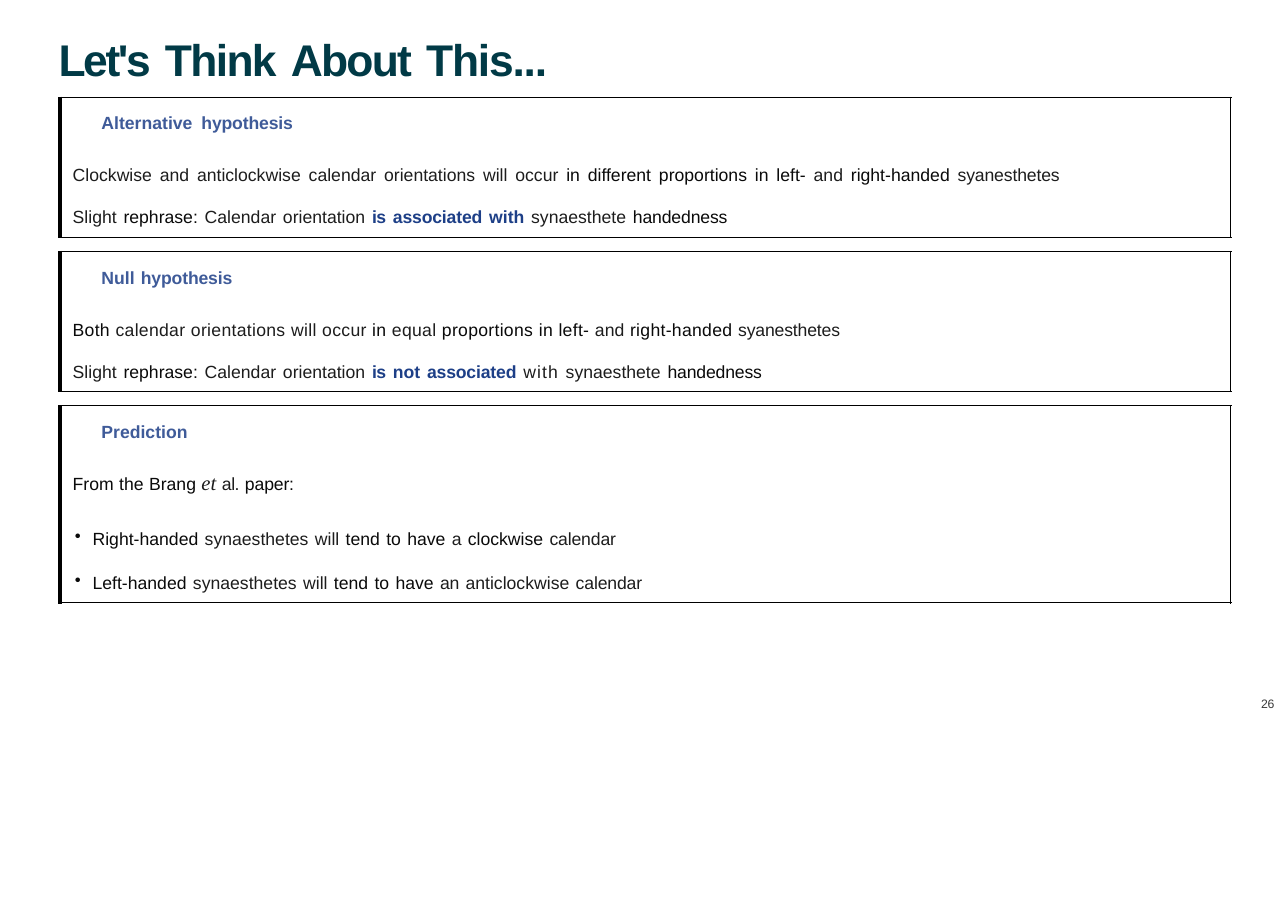
from lxml.etree import SubElement
from pptx import Presentation
from pptx.dml.color import RGBColor
from pptx.enum.shapes import MSO_CONNECTOR
from pptx.oxml.ns import qn
from pptx.util import Pt

# Styles: font, size, colour, bold, italic
STYLES = {
    "title": ("Arial", 29, "013A46", True, False),
    "heading": ("Arial", 11.5, "3F5B99", True, False),
    "grey": ("Arial", 11.5, "1D1D1D", False, False),
    "black": ("Arial", 11.5, "0A0A0A", False, False),
    "strong": ("Arial", 11.5, "1D3F87", True, False),
    "latin": ("Times New Roman", 13.5, "1D1D1D", False, True),
    "number": ("Arial", 8, "3A3A3A", False, False),
}

# Line kinds: left margin, first-line indent, bullet
KINDS = {"plain": (0.7, 0, ""), "heading": (26, 0, ""),
         "body": (7.2, 0, ""), "bullet": (20.2, -11.5, "•")}

# A line: kind, pitch from the line above, extra word gap, spans (text, style, tracking)
TITLE = [("plain", None, 1.2, [
    ("Let's ", "title", -1.6), ("Think ", "title", -1.1),
    ("About ", "title", -1.2), ("This...", "title", -0.8)])]
PAGE_NUMBER = [("plain", None, 0, [("26", "number", -0.2)])]

ALTERNATIVE = [
    ("heading", None, 2.6, [("Alternative ", "heading", 0), ("hypothesis", "heading", -0.1)]),
    ("body", 34, 1.9, [
        ("Clockwise and anticlockwise calendar orientations will occur ", "grey", 0),
        ("in different proportions in left- ", "black", 0), ("and ", "grey", 0),
        ("right-handed ", "black", 0), ("syanesthetes", "grey", -0.1)]),
    ("body", 27.4, 1.2, [
        ("Slight ", "grey", 0), ("rephrase: ", "black", 0), ("Calendar orientation ", "grey", 0),
        ("is ", "strong", -0.4), ("associated ", "strong", -0.1), ("with ", "strong", 0),
        ("synaesthete ", "grey", 0), ("handedness", "black", -0.1)]),
]
NULL = [
    ("heading", None, 0.8, [("Null ", "heading", 0), ("hypothesis", "heading", -0.1)]),
    ("body", 34, 0.3, [
        ("Both ", "black", 0.2), ("calendar orientations will occur ", "grey", 0.2),
        ("in ", "black", 0.2), ("equal ", "grey", 0.2), ("proportions in left- ", "black", 0.2),
        ("and ", "grey", 0.1), ("right-handed ", "black", 0.2), ("syanesthetes", "grey", -0.1)]),
    ("body", 27.4, 1.2, [
        ("Slight ", "grey", 0), ("rephrase: ", "black", 0), ("Calendar orientation ", "grey", 0),
        ("is ", "strong", -0.4), ("not ", "strong", 0), ("associated ", "strong", -0.1),
        ("with ", "grey", 0.7), ("synaesthete ", "grey", 0), ("handedness", "black", -0.1)]),
]
PREDICTION = [
    ("heading", None, 0, [("Prediction", "heading", 0)]),
    ("body", 34.6, 0.3, [
        ("From the Brang ", "black", 0), ("et ", "latin", 0),
        ("al. ", "grey", -0.3), ("paper:", "black", -0.1)]),
    ("bullet", 35.3, 0.9, [
        ("Right-handed ", "black", 0), ("synaesthetes will ", "grey", 0),
        ("tend to have ", "black", 0), ("a ", "grey", -1.1),
        ("clockwise ", "black", 0), ("calendar", "grey", -0.1)]),
    ("bullet", 28.7, 0.9, [
        ("Left-handed ", "black", 0), ("synaesthetes will ", "grey", 0),
        ("tend to have ", "black", 0), ("an ", "grey", -0.2),
        ("anticlockwise ", "grey", 0), ("calendar", "grey", -0.1)]),
]

# Panels: height and lines
PANELS = [(91.5, ALTERNATIVE), (91.5, NULL), (128.8, PREDICTION)]
PANEL_TOP, PANEL_STEP = 63.4, 100.8
FRAME_LEFT, FRAME_RIGHT, OVERHANG = 39.2, 804.2, 1.2


def color(value):
    return RGBColor.from_string(value)


def add_span(para, text, style, tracking):
    font_name, size, ink, bold, italic = STYLES[style]
    span = para.add_run()
    span.text = text
    font = span.font
    font.name, font.size, font.bold, font.italic = font_name, Pt(size), bold, italic
    font.color.rgb = color(ink)
    if tracking:
        font._element.set("spc", str(round(tracking * 100)))


def add_line(para, kind, pitch, gap, spans):
    margin, indent, bullet = KINDS[kind]
    if pitch:
        para.line_spacing = Pt(pitch)
    properties = para._p.get_or_add_pPr()
    properties.set("marL", str(Pt(margin)))
    properties.set("indent", str(Pt(indent)))
    if bullet:
        SubElement(properties, qn("a:buChar")).set("char", bullet)
    for text, style, tracking in spans:
        for index, word in enumerate(text.split(" ")):
            if index:
                add_span(para, " ", style, gap)
            if word:
                add_span(para, word, style, tracking)


def add_text(page, left, top, width, height, lines):
    box = page.shapes.add_textbox(Pt(left), Pt(top), Pt(width), Pt(height))
    frame = box.text_frame
    frame.word_wrap = True
    frame.margin_left = frame.margin_right = frame.margin_top = frame.margin_bottom = 0
    for index, line in enumerate(lines):
        para = frame.add_paragraph() if index else frame.paragraphs[0]
        add_line(para, *line)


def add_rule(page, x1, y1, x2, y2, weight):
    rule = page.shapes.add_connector(MSO_CONNECTOR.STRAIGHT, Pt(x1), Pt(y1), Pt(x2), Pt(y2))
    rule.line.color.rgb = color("000000")
    rule.line.width = Pt(weight)
    SubElement(rule._element.spPr, qn("a:effectLst"))


def add_panel(page, top, height, lines):
    bottom = top + height
    for x, weight in ((FRAME_LEFT, 2.16), (FRAME_RIGHT, 0.48)):
        add_rule(page, x, top - 0.3, x, bottom + 0.8, weight)
    for y, weight in ((top, 0.25), (bottom, 0.48)):
        add_rule(page, FRAME_LEFT - OVERHANG, y, FRAME_RIGHT + OVERHANG, y, weight)
    add_text(page, 40.3, top + 10, 763, height - 10, lines)


def main():
    deck = Presentation()
    deck.slide_width, deck.slide_height = Pt(841.7), Pt(595.4)
    page = deck.slides.add_slide(deck.slide_layouts[6])

    # Title and page number
    add_text(page, 37.6, 21.2, 767, 36, TITLE)
    add_text(page, 823.4, 455, 16, 11.5, PAGE_NUMBER)

    # Framed panels
    for index, (height, lines) in enumerate(PANELS):
        add_panel(page, PANEL_TOP + index * PANEL_STEP, height, lines)

    deck.save("out.pptx")


if __name__ == "__main__":
    main()
